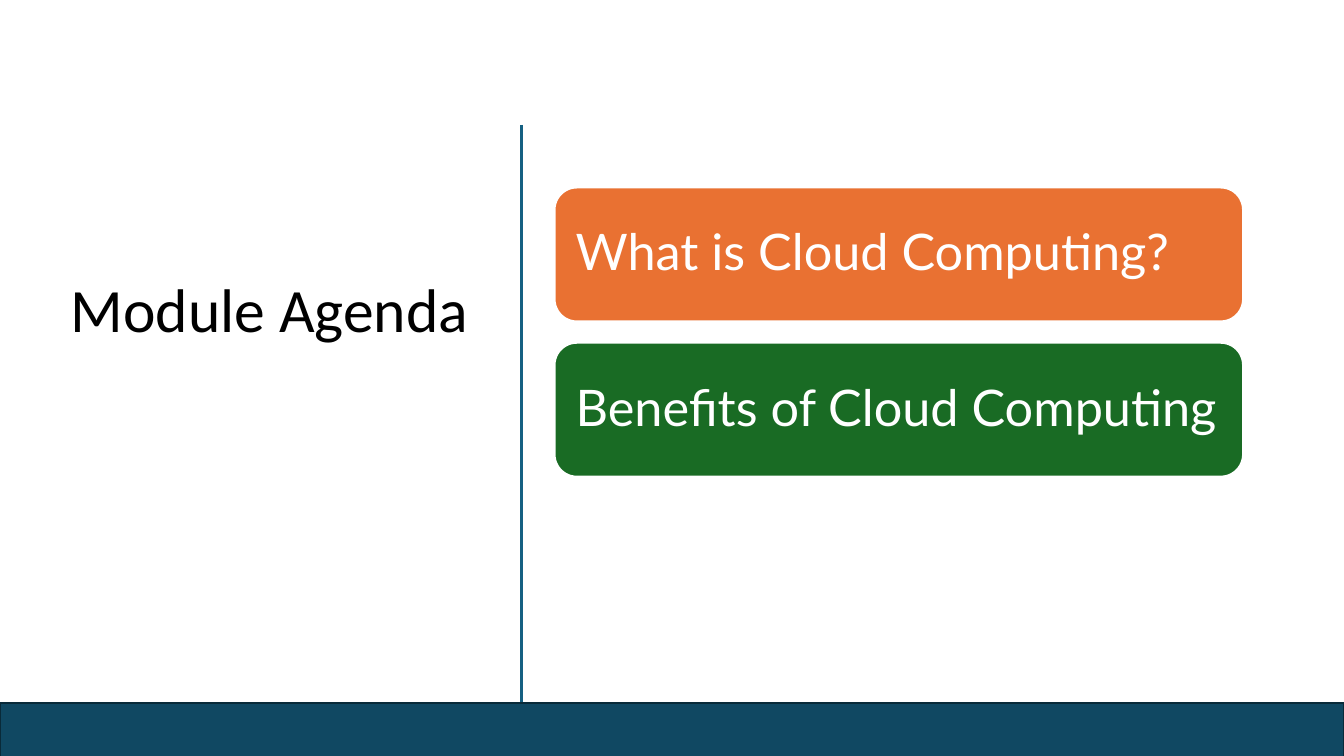
from pptx import Presentation
from pptx.dml.color import RGBColor
from pptx.enum.shapes import MSO_CONNECTOR, MSO_SHAPE
from pptx.enum.text import MSO_ANCHOR, PP_ALIGN
from pptx.oxml.ns import qn
from pptx.util import Inches, Pt
from lxml.etree import SubElement

TITLE = "Module Agenda"
TOPICS = [
    ("What is Cloud Computing?", "orange"),
    ("Benefits of Cloud Computing", "green"),
]
COLORS = {
    "black": "000000",
    "white": "FFFFFF",
    "orange": "E97132",
    "green": "196B24",
    "divider": "156082",
    "footer": "104862",
    "footer_edge": "092A39",
}
CARD_LEFT, CARD_TOP, CARD_WIDTH, CARD_HEIGHT = 5.5, 1.86, 6.83, 1.33
CARD_STEP = 1.54
CARD_INSET = 0.21


def color(name):
    return RGBColor.from_string(COLORS[name])


def style_text(paragraph, font_name, size, color_name, align):
    paragraph.alignment = align
    paragraph.line_spacing = 0.9
    font = paragraph.runs[0].font
    font.name, font.size = font_name, Pt(size)
    font.color.rgb = color(color_name)


def add_block(slide, preset, box, fill, edge):
    block = slide.shapes.add_shape(preset, *map(Inches, box))
    block.shadow.inherit = False
    block.fill.solid()
    block.fill.fore_color.rgb = color(fill)
    block.line.color.rgb = color(edge)
    block.line.width = Pt(1.5)
    return block


prs = Presentation()
prs.slide_width, prs.slide_height = Inches(13.33), Inches(7.5)
slide = prs.slides.add_slide(prs.slide_layouts[5])

# Title
title = slide.shapes.title
title.left, title.top = Inches(0.52), Inches(1.17)
title.width, title.height = Inches(4.31), Inches(3.86)
title.text_frame.text = TITLE
title.text_frame.word_wrap = True
title.text_frame.vertical_anchor = MSO_ANCHOR.MIDDLE
style_text(title.text_frame.paragraphs[0], "Calibri", 44, "black", PP_ALIGN.CENTER)

# Divider
divider = slide.shapes.add_connector(
    MSO_CONNECTOR.STRAIGHT, Inches(5.17), Inches(1.24), Inches(5.17), Inches(7.49))
divider.line.color.rgb = color("divider")
divider.line.width = Pt(2)
SubElement(divider._element.spPr, qn("a:effectLst"))

# Agenda cards
for index, (topic, fill) in enumerate(TOPICS):
    box = (CARD_LEFT, CARD_TOP + index * CARD_STEP, CARD_WIDTH, CARD_HEIGHT)
    card = add_block(slide, MSO_SHAPE.ROUNDED_RECTANGLE, box, fill, "white")
    frame = card.text_frame
    frame.text = topic
    frame.word_wrap = True
    frame.vertical_anchor = MSO_ANCHOR.MIDDLE
    # The rounded corners add their own small inset
    corner_inset = CARD_HEIGHT * 0.16667 * 0.29289
    frame.margin_left = frame.margin_right = Inches(CARD_INSET - corner_inset)
    style_text(frame.paragraphs[0], "Lato", 36, "white", PP_ALIGN.LEFT)

# Footer bar
add_block(slide, MSO_SHAPE.RECTANGLE, (0, 6.97, 13.33, 0.58), "footer", "footer_edge")

prs.save("out.pptx")
